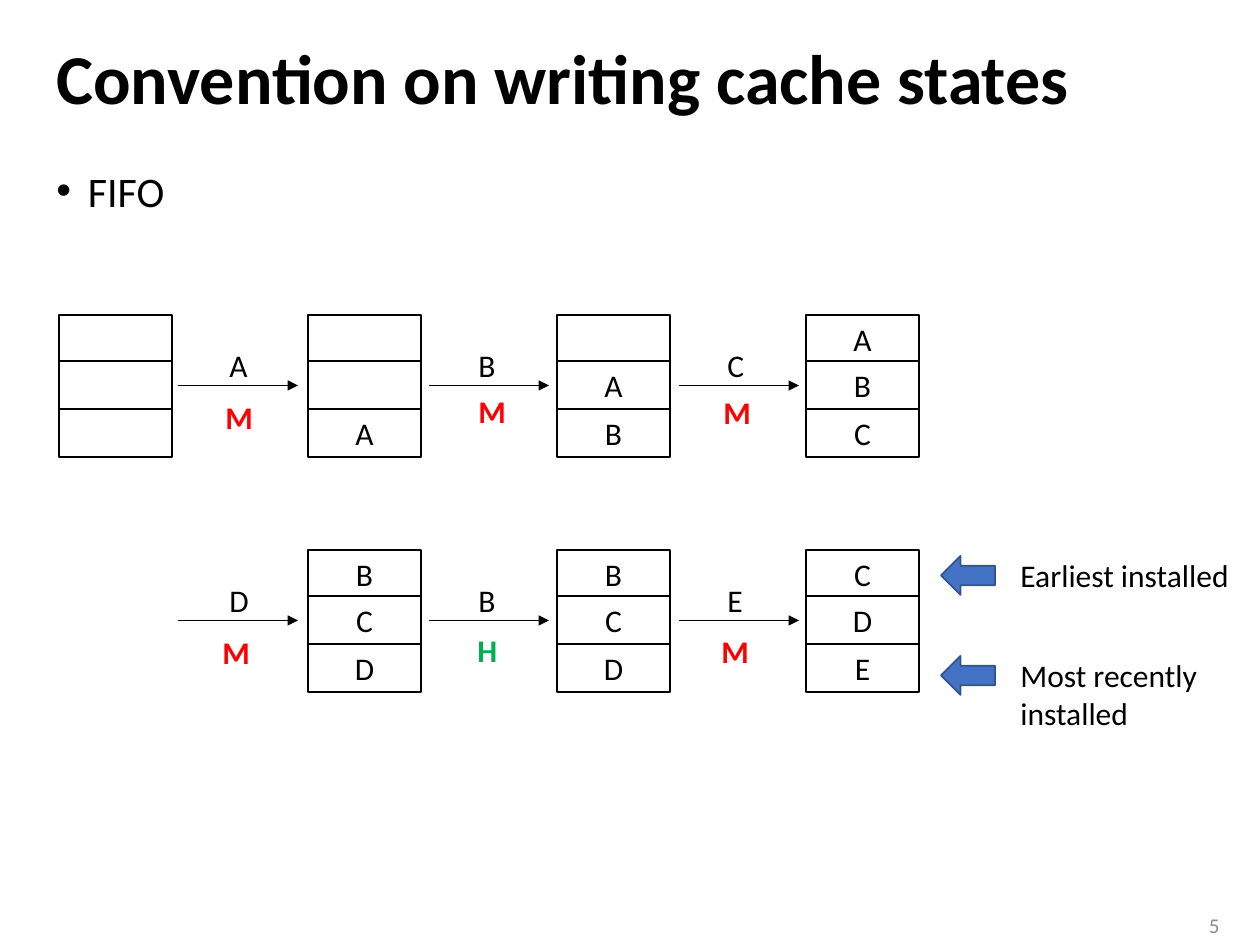
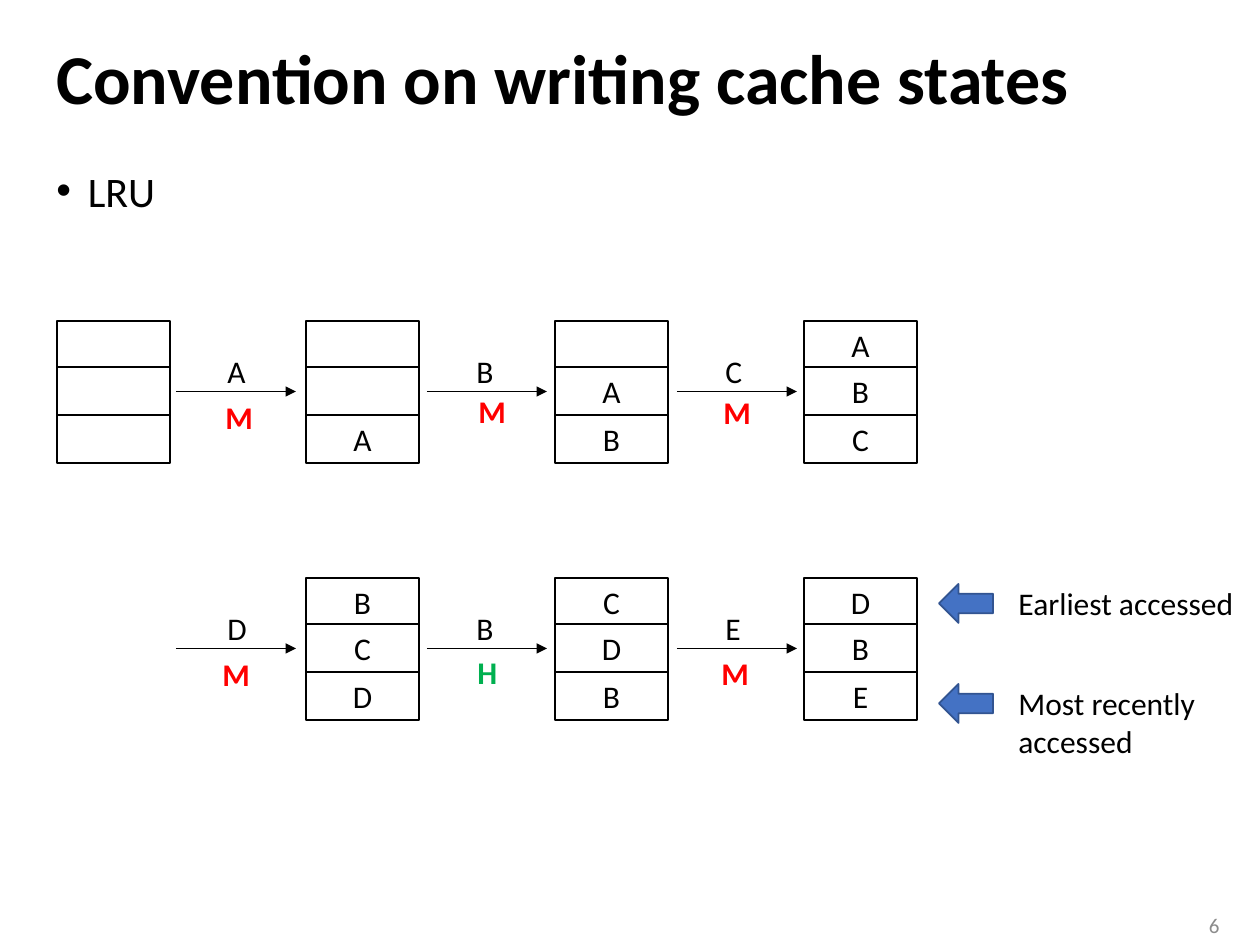
"""Build two slides that show how cache states are written for FIFO and LRU."""
from lxml import etree
from pptx import Presentation
from pptx.dml.color import RGBColor
from pptx.enum import shapes, text
from pptx.oxml import ns
from pptx import util as u

SCALE = 914400 / 126
FONT = "Calibri"
BLACK, WHITE, GRAY = "000000", "FFFFFF", "8C8C8C"
BLUE, NAVY = "4472C4", "325491"
TONES = {"M": "FF0000", "H": "00B050"}
WIDE = {"A": 45, "B": 43, "C": 43, "D": 45, "E": 40, "M": 53, "H": 45}
TITLE = "Convention on writing cache states"
STEP, CELL_W, CELL_H = 249, 113, 48
CELL_TOPS = [0, 46, 94]
ARROWS = [119, 370, 620]
MARKS = [
    [(213, 0), (466, -6), (711, -5)],
    [(210, 0), (465, -2), (709, -1)],
]
FIRST = ["   ", "  A", " AB", "ABC"]

hue = RGBColor.from_string


def px(*nums):
    return [u.Emu(round(n * SCALE)) for n in nums]


def write(shape, lines, size=18, tone=BLACK, bold=False, align="LEFT", anchor="TOP", wrap=True):
    frame = shape.text_frame
    frame.word_wrap = wrap
    frame.vertical_anchor = getattr(text.MSO_ANCHOR, anchor)
    if not wrap:
        frame.auto_size = text.MSO_AUTO_SIZE.SHAPE_TO_FIT_TEXT
    for i, line in enumerate(lines):
        para = frame.add_paragraph() if i else frame.paragraphs[0]
        para.alignment = getattr(text.PP_ALIGN, align)
        run = para.add_run()
        run.text = line
        run.font.name, run.font.size, run.font.bold = FONT, u.Pt(size), bold
        run.font.color.rgb = hue(tone)
    return frame.paragraphs[0]


DECKS = [
    dict(name="FIFO", page="5", left=59, tops=[315, 550], marks=[392, 627],
         second=["BCD", "BCD", "CDE"], verb="installed", wide=236),
    dict(name="LRU", page="6", left=57, tops=[321, 578], marks=[392, 649],
         second=["BCD", "CDB", "DBE"], verb="accessed", wide=243),
]

prs = Presentation()
prs.slide_width, prs.slide_height = px(1260, 945)

for deck in DECKS:
    items = prs.slides.add_slide(prs.slide_layouts[6]).shapes
    left = deck["left"]

    head = write(items.add_textbox(*px(44, 24, 1170, 116)), [TITLE], 40, bold=True, anchor="MIDDLE")
    head.line_spacing = 0.9
    body = write(items.add_textbox(*px(44, 159, 1170, 735)), [deck["name"]], 24)
    body.space_before = u.Pt(10)
    props = body._p.get_or_add_pPr()
    props.set("marL", "228600")
    props.set("indent", "-228600")
    etree.SubElement(props, ns.qn("a:buFont"), typeface="Arial")
    etree.SubElement(props, ns.qn("a:buChar"), char="•")
    write(items.add_textbox(*px(1168, 906, 64, 39)), [deck["page"]], 12, GRAY,
          align="RIGHT", anchor="MIDDLE")

    rows = [(FIRST, 0, "ABC", "MMM"), (deck["second"], 1, "DBE", "MHM")]
    for (states, skip, keys, hits), top, base, spots in zip(rows, deck["tops"], deck["marks"], MARKS):
        for col, state in enumerate(states, skip):
            stack = items.add_group_shape().shapes
            for key, drop in zip(state, CELL_TOPS):
                cell = stack.add_shape(shapes.MSO_SHAPE.RECTANGLE,
                                       *px(left + col * STEP, top + drop, CELL_W, CELL_H))
                cell.shadow.inherit = False
                cell.fill.solid()
                cell.fill.fore_color.rgb = hue(WHITE)
                cell.line.color.rgb = hue(BLACK)
                cell.line.width = u.Pt(1)
                if key.strip():
                    write(cell, [key], align="CENTER", anchor="MIDDLE")

        for i, (key, hit, start, (x, dy)) in enumerate(zip(keys, hits, ARROWS, spots)):
            begin, y = left + start, top + 70.5
            link = items.add_connector(shapes.MSO_CONNECTOR.STRAIGHT, *px(begin, y, begin + 120, y))
            link.line.color.rgb = hue(BLACK)
            link.line.width = u.Pt(1)
            etree.SubElement(link.line._get_or_add_ln(), ns.qn("a:tailEnd"), type="triangle")
            etree.SubElement(link._element.spPr, ns.qn("a:effectLst"))
            write(items.add_textbox(*px(left + 158 + i * STEP, top + 25, WIDE[key], 50)),
                  [key], wrap=False)
            write(items.add_textbox(*px(x, base + dy, WIDE[hit], 50)),
                  [hit], tone=TONES[hit], bold=True, wrap=False)

    low = deck["tops"][1]
    notes = [
        (["Earliest " + deck["verb"]], deck["wide"], 50),
        (["Most recently", deck["verb"]], 204, 89),
    ]
    for i, (lines, wide, high) in enumerate(notes):
        y = low + i * 100
        mark = items.add_shape(shapes.MSO_SHAPE.LEFT_ARROW, *px(left + 882, y + 6, 54, 39))
        mark.shadow.inherit = False
        mark.fill.solid()
        mark.fill.fore_color.rgb = hue(BLUE)
        mark.line.color.rgb = hue(NAVY)
        mark.line.width = u.Pt(1)
        write(items.add_textbox(*px(left + 949, y, wide, high)), lines, wrap=False)

prs.save("out.pptx")
